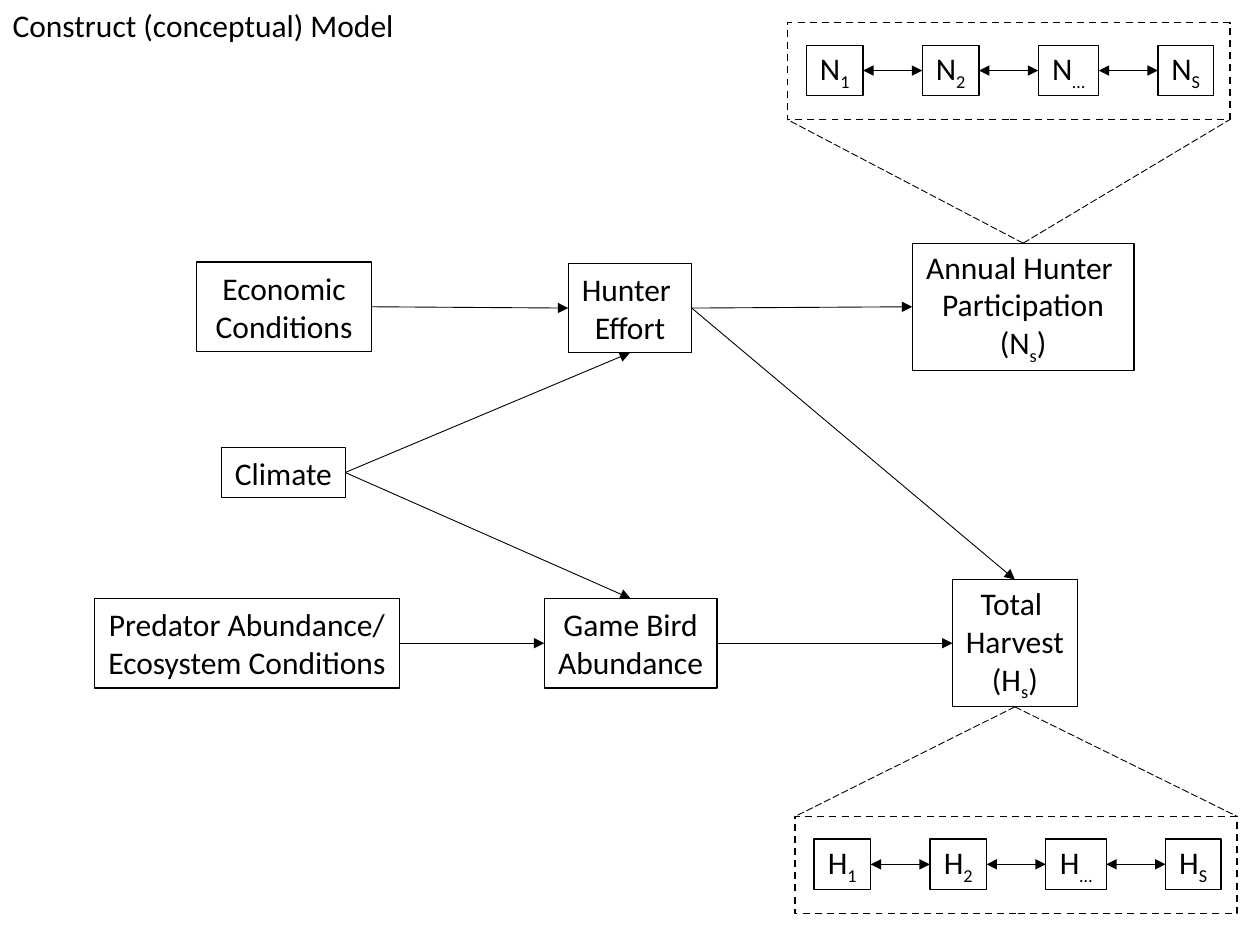
"""Build the construct model slide of hunter participation and harvest."""
from lxml import etree
from pptx import Presentation
from pptx.dml.color import RGBColor
from pptx.enum.dml import MSO_LINE
from pptx.enum.shapes import MSO_CONNECTOR, MSO_SHAPE
from pptx.enum.text import MSO_ANCHOR, MSO_AUTO_SIZE, PP_ALIGN
from pptx.oxml.ns import qn
from pptx.util import Inches, Pt

RECTANGLE, STRAIGHT = MSO_SHAPE.RECTANGLE, MSO_CONNECTOR.STRAIGHT
DASH, LONG_DASH = MSO_LINE.DASH, MSO_LINE.LONG_DASH
LEFT, CENTER = PP_ALIGN.LEFT, PP_ALIGN.CENTER
TOP_ANCHOR, MIDDLE_ANCHOR = MSO_ANCHOR.TOP, MSO_ANCHOR.MIDDLE
GROW = MSO_AUTO_SIZE.SHAPE_TO_FIT_TEXT
TOP, WEST, BOTTOM, EAST = range(4)

COLORS = {"ink": "000000"}
FONT = {"name": "Calibri", "size": Pt(18), "bold": False}
CHAIN_WIDTHS = (0.45, 0.45, 0.48, 0.44)
CHAIN_GAP = 0.47
BOX_HEIGHT = 0.4


def set_all(target, values):
    """Set every attribute in values on target."""
    for attribute, value in values.items():
        setattr(target, attribute, value)


class ModelSlide:
    """Holds the style and the slide, and draws each kind of element."""

    def __init__(self, slide):
        self.slide = slide
        self.ink = RGBColor.from_string(COLORS["ink"])

    def outline(self, line, width, dash=None):
        """Give a line its colour, width and dash."""
        line.color.rgb = self.ink
        set_all(line, {"width": Pt(width), "dash_style": dash})

    def add_text(self, frame, text, align, anchor, wrap):
        """Fill in paragraphs, with subscripts between underscores."""
        set_all(frame, {"text": text.replace("_", ""), "word_wrap": wrap,
                        "vertical_anchor": anchor, "auto_size": GROW})
        for paragraph, words in zip(frame.paragraphs, text.split("\n")):
            paragraph.clear()
            paragraph.alignment = align
            for index, part in enumerate(words.split("_")):
                if not part:
                    continue
                run = paragraph.add_run()
                run.text = part
                set_all(run.font, FONT)
                run.font.color.rgb = self.ink
                if index % 2:
                    run.font._element.set("baseline", "-25000")

    def title(self, text, left, top, width, height):
        """Place the slide title."""
        title = self.slide.shapes.title
        set_all(title, {"left": Inches(left), "top": Inches(top),
                        "width": Inches(width), "height": Inches(height)})
        self.add_text(title.text_frame, text, LEFT, TOP_ANCHOR, True)

    def rectangle(self, shapes, left, top, width, height, line_width, dash=None):
        """Draw an unfilled rectangle."""
        rectangle = shapes.add_shape(RECTANGLE, Inches(left), Inches(top),
                                     Inches(width), Inches(height))
        rectangle.shadow.inherit = False
        rectangle.fill.background()
        self.outline(rectangle.line, line_width, dash)
        return rectangle

    def box(self, text, left, top, width, height, wrap=False, shapes=None):
        """Draw a box with centred text."""
        box = self.rectangle(shapes or self.slide.shapes, left, top, width, height, 0.75)
        self.add_text(box.text_frame, text, CENTER, MIDDLE_ANCHOR, wrap)
        return box

    def connector(self, shapes, start, side, dash=None, arrows=()):
        """Start a straight connector at one side of a box."""
        connector = shapes.add_connector(STRAIGHT, start.left, start.top,
                                         start.left, start.top)
        connector.begin_connect(start, side)
        self.outline(connector.line, 0.5, dash)
        line = connector.line._get_or_add_ln()
        for end in arrows:
            etree.SubElement(line, qn("a:" + end), type="triangle")
        etree.SubElement(connector._element.spPr, qn("a:effectLst"))
        return connector

    def arrow(self, start, start_side, end, end_side, shapes=None, arrows=("tailEnd",)):
        """Join two boxes with an arrow."""
        connector = self.connector(shapes or self.slide.shapes, start, start_side,
                                   arrows=arrows)
        connector.end_connect(end, end_side)

    def chain(self, letter, left, top):
        """Draw a group of yearly boxes joined by two-way arrows."""
        shapes = self.slide.shapes.add_group_shape().shapes
        previous = None
        for index, width in zip("12…S", CHAIN_WIDTHS):
            year = self.box(f"{letter}_{index}_", left, top, width, BOX_HEIGHT,
                            shapes=shapes)
            if previous:
                self.arrow(previous, EAST, year, WEST, shapes, ("headEnd", "tailEnd"))
            previous = year
            left += width + CHAIN_GAP

    def detail(self, letter, left, top, parent, parent_side):
        """Frame a chain and tie the frame's corners to its parent box."""
        self.chain(letter, left + 0.15, top + 0.18)
        frame = self.rectangle(self.slide.shapes, left, top, 3.51, 0.77, 1, DASH)
        near_edge = frame.top + (frame.height if parent_side == TOP else 0)
        for corner in (frame.left, frame.left + frame.width):
            tie = self.connector(self.slide.shapes, parent, parent_side, LONG_DASH)
            set_all(tie, {"end_x": corner, "end_y": near_edge})


def main():
    """Build and save the slide."""
    presentation = Presentation()
    set_all(presentation, {"slide_width": Inches(10), "slide_height": Inches(7.5)})
    model = ModelSlide(presentation.slides.add_slide(presentation.slide_layouts[5]))
    model.title("Construct (conceptual) Model", 0, 0, 3.29, BOX_HEIGHT)

    climate = model.box("Climate", 1.76, 3.55, 0.98, BOX_HEIGHT)
    effort = model.box("Hunter \nEffort", 4.51, 2.09, 0.98, 0.71)
    birds = model.box("Game Bird\nAbundance", 4.32, 4.75, 1.37, 0.71)
    predators = model.box("Predator Abundance/\nEcosystem Conditions",
                          0.75, 4.75, 2.42, 0.71)
    harvest = model.box("Total \nHarvest\n(H_s_)", 7.56, 4.6, 0.99, 1.01)
    participation = model.box("Annual Hunter \nParticipation\n(N_s_)",
                              7.24, 1.93, 1.76, 1.01)
    economy = model.box("Economic Conditions", 1.56, 2.08, 1.39, 0.71, wrap=True)

    for cause, cause_side, effect, effect_side in (
        (economy, EAST, effort, WEST),
        (climate, EAST, effort, BOTTOM),
        (climate, EAST, birds, TOP),
        (predators, EAST, birds, WEST),
        (birds, EAST, harvest, WEST),
        (effort, EAST, harvest, TOP),
        (effort, EAST, participation, WEST),
    ):
        model.arrow(cause, cause_side, effect, effect_side)

    model.detail("H", 6.31, 6.48, harvest, BOTTOM)
    model.detail("N", 6.25, 0.18, participation, TOP)
    presentation.save("out.pptx")


if __name__ == "__main__":
    main()
